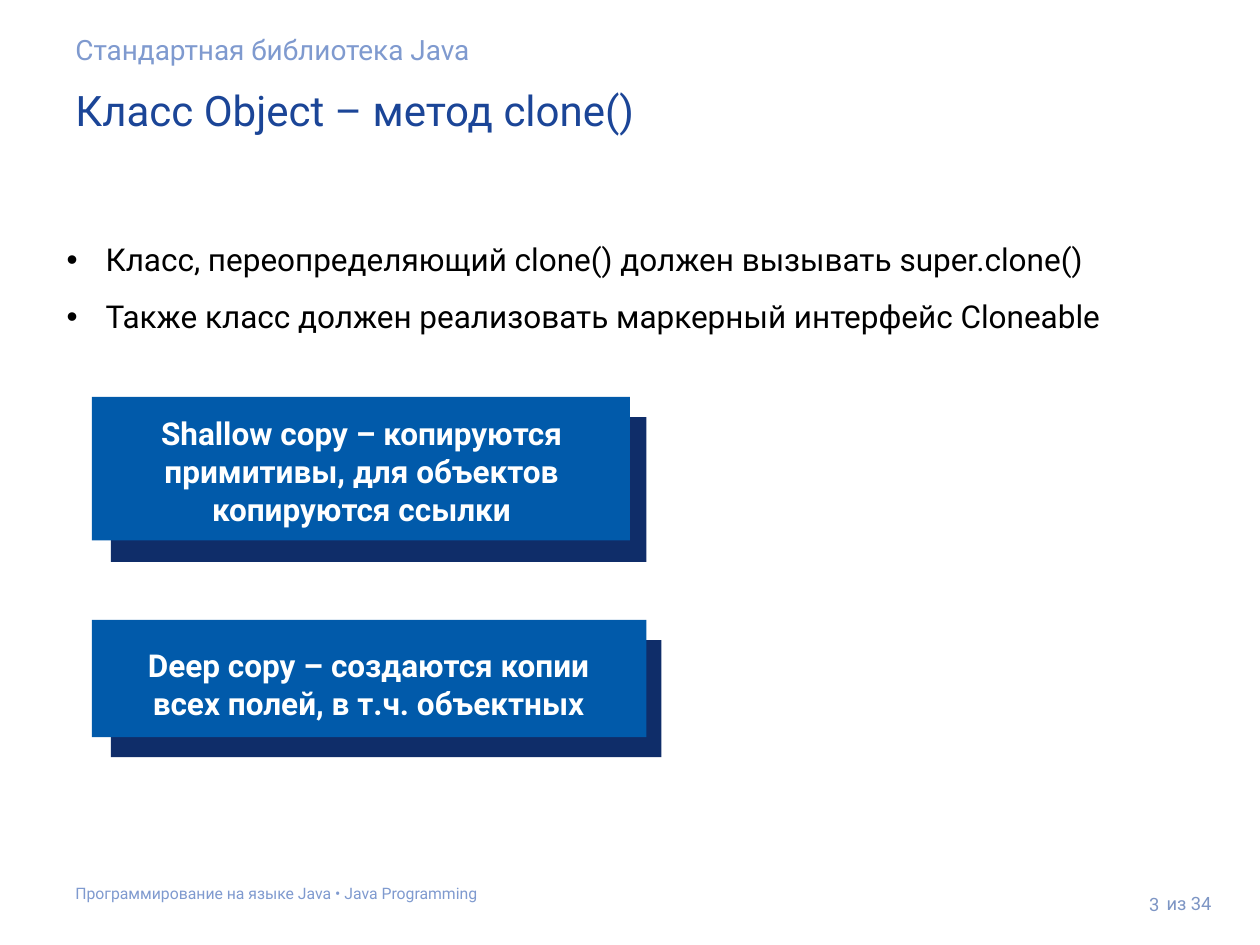
import pptx
import pptx.dml.color
import pptx.enum.shapes
import pptx.enum.text
import pptx.oxml.ns
import pptx.util
from lxml import etree
from pptx.util import Inches

RGBColor = pptx.dml.color.RGBColor
PP_ALIGN = pptx.enum.text.PP_ALIGN
ANCHOR = pptx.enum.text.MSO_ANCHOR

TITLE_BLUE = RGBColor(0x1B, 0x45, 0x97)
PALE_BLUE = RGBColor(0x7F, 0x9A, 0xCF)
PAGE_BLUE = RGBColor(0x7D, 0x95, 0xC4)
PANEL_BLUE = RGBColor(0x01, 0x5A, 0xAA)
BACKING_BLUE = RGBColor(0x0F, 0x2D, 0x69)
BLACK = RGBColor(0, 0, 0)
WHITE = RGBColor(0xFF, 0xFF, 0xFF)


def add_text(box, text, size, color, bold=False, align=PP_ALIGN.LEFT,
             anchor=ANCHOR.TOP, padding=0.05):
    """Add a wrapped text box; each line of text is a paragraph, padding is above and below."""
    frame = slide.shapes.add_textbox(*map(Inches, box)).text_frame
    frame.word_wrap = True
    frame.vertical_anchor = anchor
    frame.margin_top = frame.margin_bottom = Inches(padding)
    frame.text = text
    for paragraph in frame.paragraphs:
        paragraph.alignment = align
        font = paragraph.runs[0].font
        font.name = "Roboto"
        font.size = pptx.util.Pt(size)
        font.bold = bold
        font.color.rgb = color
    return frame


def add_rectangle(box, color):
    rectangle = slide.shapes.add_shape(
        pptx.enum.shapes.MSO_SHAPE.RECTANGLE, *map(Inches, box))
    rectangle.shadow.inherit = False
    rectangle.fill.solid()
    rectangle.fill.fore_color.rgb = color
    rectangle.line.fill.background()


presentation = pptx.Presentation()
presentation.slide_width = Inches(10)
presentation.slide_height = Inches(7.5)
slide = presentation.slides.add_slide(presentation.slide_layouts[6])

# Heading and footer
add_text((0.5, 0.16, 9.19, 0.47), "Стандартная библиотека Java", 16, PALE_BLUE, padding=0.1)
add_text((0.5, 0.57, 9.19, 0.61), "Класс Object – метод clone()", 24, TITLE_BLUE, padding=0.1)
add_text((0.5, 6.94, 9, 0.35), "Программирование на языке Java • Java Programming",
         9, PALE_BLUE, padding=0.1)
add_text((8.7, 6.89, 0.6, 0.57), "3", 10.5, PAGE_BLUE,
         align=PP_ALIGN.RIGHT, anchor=ANCHOR.MIDDLE, padding=0.1)
add_text((9.16, 6.97, 0.69, 0.4), "из 34", 10.5, PAGE_BLUE, anchor=ANCHOR.MIDDLE)

# Rules for clone()
rules = add_text(
    (0.43, 1.71, 9, 0.96),
    "Класс, переопределяющий сlone() должен вызывать super.clone()\n"
    "Также класс должен реализовать маркерный интерфейс Cloneable",
    18, BLACK)
qn = pptx.oxml.ns.qn
for rule in rules.paragraphs:
    rule.line_spacing = 1.5
    properties = rule._p.get_or_add_pPr()
    properties.set("marL", str(Inches(0.31)))
    properties.set("indent", str(Inches(-0.31)))
    bullet_color = etree.SubElement(properties, qn("a:buClr"))
    etree.SubElement(bullet_color, qn("a:srgbClr"), val=str(BLACK))
    etree.SubElement(properties, qn("a:buFont"), typeface="Arial")
    etree.SubElement(properties, qn("a:buChar"), char="•")

# Kinds of copy: backing, panel, text area, wording
copy_kinds = [
    ((0.88, 3.31, 4.25, 1.15), (0.73, 3.15, 4.27, 1.14), (0.96, 3.24, 3.82, 1.01),
     "Shallow copy – копируются примитивы, для объектов копируются ссылки"),
    ((0.88, 5.08, 4.37, 0.93), (0.73, 4.92, 4.4, 0.93), (0.85, 5.08, 4.15, 0.71),
     "Deep copy – создаются копии всех полей, в т.ч. объектных"),
]
for backing, panel, text_area, wording in copy_kinds:
    add_rectangle(backing, BACKING_BLUE)
    add_rectangle(panel, PANEL_BLUE)
    add_text(text_area, wording, 18, WHITE, bold=True, align=PP_ALIGN.CENTER)

presentation.save("out.pptx")
